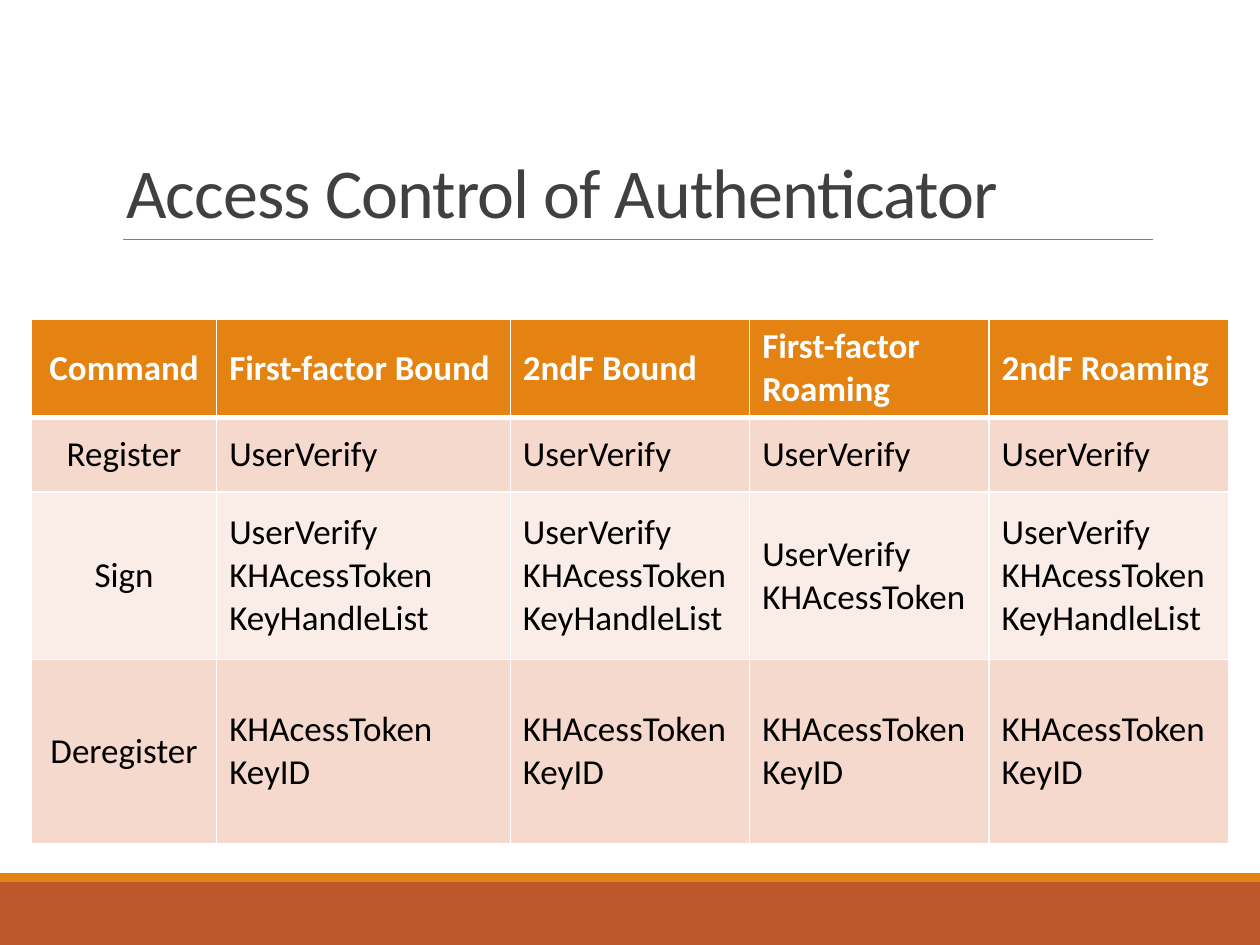
from lxml.etree import SubElement
from pptx import Presentation
from pptx.dml.color import RGBColor
from pptx.enum.shapes import MSO_CONNECTOR as Connector, MSO_SHAPE as Shape
from pptx.enum.text import MSO_ANCHOR as Anchor, MSO_AUTO_SIZE as AutoSize, PP_ALIGN as Align
from pptx.oxml.ns import qn
from pptx.util import Pt

COLORS = {
    "rust": "BD582C", "orange": "E48312", "rule": "808080", "title": "404040",
    "white": "FFFFFF", "black": "000000", "odd_row": "F5D9CC", "even_row": "FAEDE7",
}
FONT = "Calibri"
SLIDE_WIDTH, SLIDE_HEIGHT = 720, 540

COLUMN_WIDTHS = [105.84, 167.76, 136.8, 136.8, 136.8]
ROW_HEIGHTS = [56, 42.48, 95.76, 105.12]
VERIFY = "UserVerify"
VERIFY_TOKEN = VERIFY + "\nKHAcessToken"
VERIFY_TOKEN_KEYS = VERIFY_TOKEN + "\nKeyHandleList"
TOKEN_ID = "KHAcessToken\nKeyID"
ACCESS_RULES = [
    ["Command", "First-factor Bound", "2ndF Bound", "First-factor Roaming", "2ndF Roaming"],
    ["Register"] + [VERIFY] * 4,
    ["Sign", VERIFY_TOKEN_KEYS, VERIFY_TOKEN_KEYS, VERIFY_TOKEN, VERIFY_TOKEN_KEYS],
    ["Deregister"] + [TOKEN_ID] * 4,
]


def color(name):
    return RGBColor.from_string(COLORS[name])


def format_font(font, color_name, **values):
    for attribute, value in {"name": FONT, **values}.items():
        setattr(font, attribute, value)
    font.color.rgb = color(color_name)


def add_band(slide, left, top, width, height, color_name):
    band = slide.shapes.add_shape(Shape.RECTANGLE, Pt(left), Pt(top), Pt(width), Pt(height))
    band.shadow.inherit = False
    band.fill.solid()
    band.fill.fore_color.rgb = color(color_name)
    band.line.fill.background()


def add_footer(slide, left, top, width, height, stripe_height=5):
    """A rust band with a thin orange stripe along its top."""
    add_band(slide, left, top + stripe_height, width, height - stripe_height, "rust")
    add_band(slide, left, top, width, stripe_height, "orange")


def add_heading(slide, left, top, width, height, text):
    """The title, standing on a thin rule."""
    bottom = Pt(top + height)
    rule = slide.shapes.add_connector(
        Connector.STRAIGHT, Pt(left + 5.5), bottom, Pt(left + width), bottom)
    rule.line.width = Pt(0.5)
    rule.line.color.rgb = color("rule")
    SubElement(rule._element.spPr, qn("a:effectLst"))

    title = slide.shapes.title
    box = {"left": left, "top": top, "width": width, "height": height}
    for attribute, value in box.items():
        setattr(title, attribute, Pt(value))
    frame = title.text_frame
    frame.text = text
    frame_format = {"word_wrap": True, "auto_size": AutoSize.NONE,
                    "vertical_anchor": Anchor.BOTTOM}
    for attribute, value in frame_format.items():
        setattr(frame, attribute, value)
    paragraph = frame.paragraphs[0]
    paragraph.alignment = Align.LEFT
    paragraph.line_spacing = 0.85
    run = paragraph.runs[0]
    format_font(run.font, "title", size=Pt(40))
    run._r.get_or_add_rPr().set("spc", "-50")


def add_borders(cell, widths):
    """White borders; widths are for left, right, top and bottom."""
    for side, width in zip("LRTB", widths):
        border = SubElement(cell._tc.get_or_add_tcPr(), qn(f"a:ln{side}"), w=str(Pt(width)))
        fill = SubElement(border, qn("a:solidFill"))
        SubElement(fill, qn("a:srgbClr"), val=COLORS["white"])


def format_cell(cell, row, column):
    is_header = row == 0
    add_borders(cell, (1, 1, 3 if row == 1 else 1, 3 if is_header else 1))
    cell.fill.solid()
    row_color = "orange" if is_header else "odd_row" if row % 2 else "even_row"
    cell.fill.fore_color.rgb = color(row_color)
    cell.vertical_anchor = Anchor.MIDDLE
    for paragraph in cell.text_frame.paragraphs:
        paragraph.alignment = Align.LEFT if column else Align.CENTER
        format_font(paragraph.runs[0].font, "white" if is_header else "black",
                    size=Pt(20), bold=is_header)


def add_access_table(slide, left, top):
    table = slide.shapes.add_table(
        len(ROW_HEIGHTS), len(COLUMN_WIDTHS), Pt(left), Pt(top),
        Pt(sum(COLUMN_WIDTHS)), Pt(sum(ROW_HEIGHTS))).table
    for column, width in zip(table.columns, COLUMN_WIDTHS):
        column.width = Pt(width)
    for row, height in zip(table.rows, ROW_HEIGHTS):
        row.height = Pt(height)
    for row, rules in enumerate(ACCESS_RULES):
        for column, text in enumerate(rules):
            cell = table.cell(row, column)
            cell.text = text
            format_cell(cell, row, column)


def main():
    presentation = Presentation()
    presentation.slide_width = Pt(SLIDE_WIDTH)
    presentation.slide_height = Pt(SLIDE_HEIGHT)
    slide = presentation.slides.add_slide(presentation.slide_layouts[5])
    add_footer(slide, 0, 499, SLIDE_WIDTH, 41)
    add_heading(slide, 65, 22.5, 594, 114.3, "Access Control of Authenticator")
    add_access_table(slide, 18, 182.4)
    presentation.save("out.pptx")


if __name__ == "__main__":
    main()
